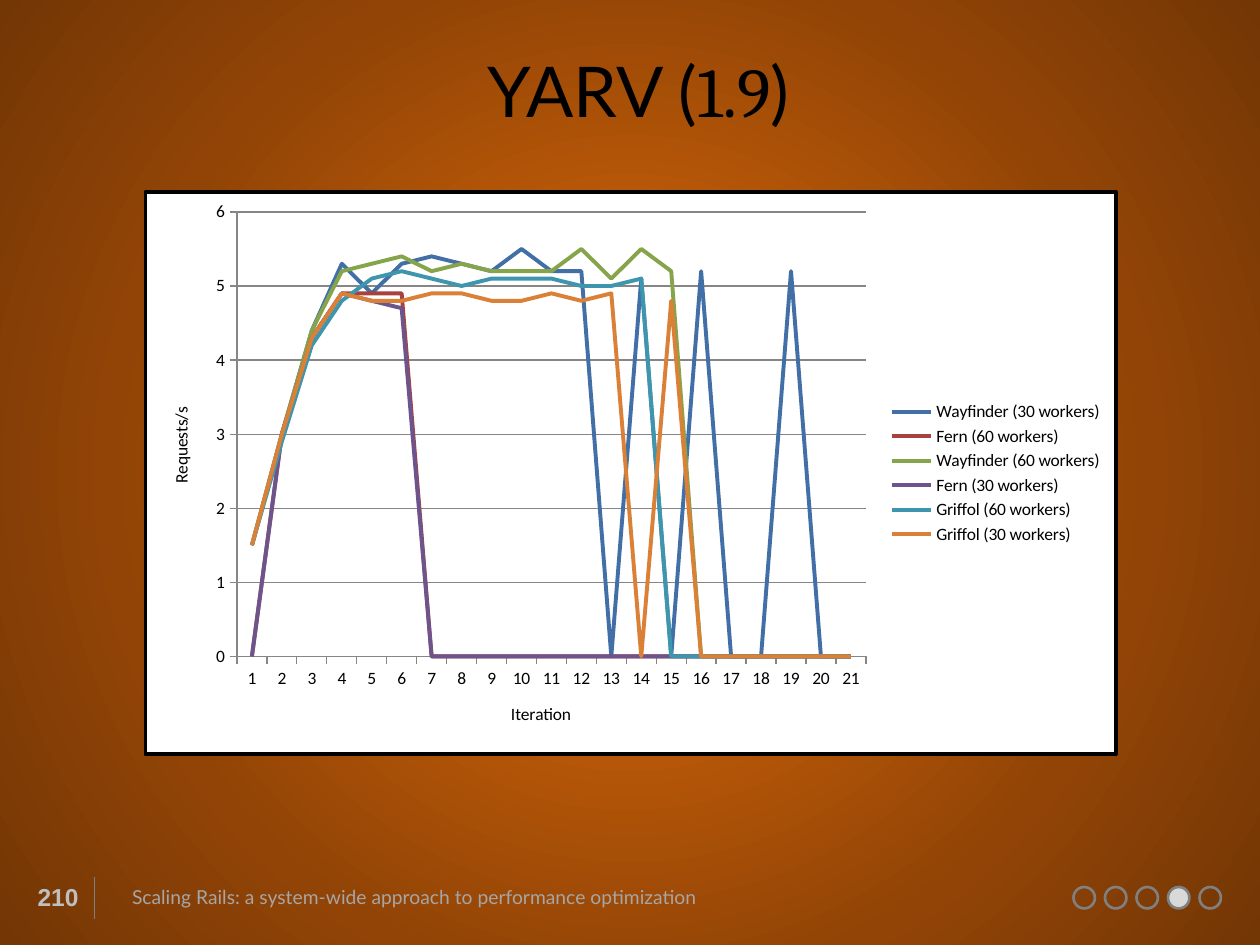
"""Build the YARV (1.9) benchmark slide with its line chart and progress footer."""
from lxml.etree import SubElement
from pptx import Presentation
from pptx.chart.data import CategoryChartData
from pptx.dml.color import RGBColor
from pptx.enum.chart import XL_CHART_TYPE, XL_LEGEND_POSITION, XL_TICK_MARK
from pptx.enum.shapes import MSO_CONNECTOR, MSO_SHAPE
from pptx.enum.text import MSO_ANCHOR, PP_ALIGN
from pptx.oxml import parse_xml
from pptx.oxml.ns import nsdecls, qn
from pptx.util import Inches, Pt

TITLE = [("YARV (", "Lato"), ("1.9", "Cambria"), (")", "Lato")]
FOOTER = "Scaling Rails: a system-wide approach to performance optimization"
PAGE = "210"
DOTS, CURRENT_DOT = 5, 3
ITERATIONS = 21
AXIS_TITLES = {"category": "Iteration", "value": "Requests/s"}
SERIES = [
    ("Wayfinder (30 workers)", "416FA6",
     [1.5, 3, 4.4, 5.3, 4.9, 5.3, 5.4, 5.3, 5.2, 5.5, 5.2, 5.2, 0, 5.1, 0, 5.2, 0, 0, 5.2]),
    ("Fern (60 workers)", "A8423F", [0, 3, 4.3, 4.9, 4.9, 4.9]),
    ("Wayfinder (60 workers)", "86A44A",
     [1.5, 3, 4.4, 5.2, 5.3, 5.4, 5.2, 5.3, 5.2, 5.2, 5.2, 5.5, 5.1, 5.5, 5.2]),
    ("Fern (30 workers)", "6E548D", [0, 3, 4.3, 4.9, 4.8, 4.7]),
    ("Griffol (60 workers)", "3D96AE",
     [1.5, 2.9, 4.2, 4.8, 5.1, 5.2, 5.1, 5, 5.1, 5.1, 5.1, 5, 5, 5.1]),
    ("Griffol (30 workers)", "DA8137",
     [1.5, 3, 4.3, 4.9, 4.8, 4.8, 4.9, 4.9, 4.8, 4.8, 4.9, 4.8, 4.9, 0, 4.8]),
]
CHART_BOX = (1.14, 1.51, 7.73, 4.49)
PLOT_BOX = (0.73, 0.16, 5.01, 3.55)
THEME = {
    "bg": [(0, "EB700B"), (33, "B95808"), (66, "914406"), (100, "733605")],
    "text": "000000", "footer": "A6A6A6", "page": "BFBFBF",
    "rule": "808080", "dot": "D9D9D9", "axis": "868686", "panel": "FFFFFF",
    "title_pt": 40, "page_pt": 14, "footer_pt": 11, "chart_pt": 10,
}


def rgb(name):
    return RGBColor.from_string(THEME.get(name, name))


def style_font(font, name, size, color, bold=False):
    font.name, font.size, font.bold = name, Pt(size), bold
    font.color.rgb = rgb(color)


def style_line(line, color, width):
    line.color.rgb = rgb(color)
    line.width = Pt(width)


def add_text(s, runs, box, size, color, bold=False, wrap=True,
             anchor=MSO_ANCHOR.MIDDLE, align=PP_ALIGN.CENTER):
    tf = s.shapes.add_textbox(*map(Inches, box)).text_frame
    tf.word_wrap, tf.vertical_anchor = wrap, anchor
    p = tf.paragraphs[0]
    p.alignment = align
    for text, font in runs:
        r = p.add_run()
        r.text = text
        style_font(r.font, font, size, color, bold)


def add_background(s):
    s.background.fill.solid()
    solid = next(s.element.iter(qn("a:solidFill")))
    stops = "".join(f'<a:gs pos="{pos * 1000}"><a:srgbClr val="{color}"/></a:gs>'
                    for pos, color in THEME["bg"])
    grad = parse_xml(
        f'<a:gradFill {nsdecls("a")} rotWithShape="1"><a:gsLst>{stops}</a:gsLst>'
        '<a:path path="circle"><a:fillToRect l="50000" t="50000" r="50000" b="50000"/>'
        '</a:path></a:gradFill>')
    solid.getparent().replace(solid, grad)


def add_footer(s):
    for i in range(DOTS):
        dot = s.shapes.add_shape(MSO_SHAPE.OVAL, Inches(8.52 + 0.25 * i), Inches(7.04),
                                 Inches(0.17), Inches(0.17))
        dot.shadow.inherit = False
        style_line(dot.line, "rule", 1.5)
        if i == CURRENT_DOT:
            dot.fill.solid()
            dot.fill.fore_color.rgb = rgb("dot")
        else:
            dot.fill.background()
    add_text(s, [(FOOTER, "Lato")], (0.79, 6.92, 5, 0.4), THEME["footer_pt"], "footer")
    add_text(s, [(PAGE, "Arial")], (0.17, 6.92, 0.58, 0.4), THEME["page_pt"], "page", bold=True)
    rule = s.shapes.add_connector(MSO_CONNECTOR.STRAIGHT, *map(Inches, (0.75, 7.29, 0.75, 6.96)))
    style_line(rule.line, "rule", 0.75)
    SubElement(rule.element.spPr, qn("a:effectLst"))


def style_axis(axis, title):
    style_line(axis.format.line, "axis", 0.75)
    axis.major_tick_mark = XL_TICK_MARK.OUTSIDE
    axis.minor_tick_mark = XL_TICK_MARK.NONE
    tf = axis.axis_title.text_frame
    tf.text = title
    style_font(tf.paragraphs[0].runs[0].font, "Calibri", THEME["chart_pt"], "text")


def panel_props(border):
    return parse_xml(
        f'<c:spPr {nsdecls("c", "a")}><a:solidFill><a:srgbClr val="{THEME["panel"]}"/>'
        f'</a:solidFill>{border}</c:spPr>')


def frame_chart(chart):
    space = chart.element
    border = (f'<a:ln w="{Pt(2)}"><a:solidFill><a:srgbClr val="{THEME["text"]}"/>'
              '</a:solidFill></a:ln>')
    space.find(qn("c:chart")).addnext(panel_props(border))
    if space.find(qn("c:roundedCorners")) is None:
        square = parse_xml(f'<c:roundedCorners {nsdecls("c")} val="0"/>')
        space.find(qn("c:date1904")).addnext(square)
    plot = next(space.iter(qn("c:plotArea")))
    plot.append(panel_props("<a:ln><a:noFill/></a:ln>"))
    old = plot.find(qn("c:layout"))
    if old is not None:
        plot.remove(old)
    modes = '<c:layoutTarget val="inner"/><c:xMode val="edge"/><c:yMode val="edge"/>'
    sizes = "".join(f'<c:{key} val="{part / whole:.4f}"/>'
                    for key, part, whole in zip("xywh", PLOT_BOX, CHART_BOX[2:] * 2))
    plot.insert(0, parse_xml(f'<c:layout {nsdecls("c")}><c:manualLayout>{modes}{sizes}'
                             '</c:manualLayout></c:layout>'))


def add_benchmark_chart(s):
    data = CategoryChartData()
    data.categories = [str(i + 1) for i in range(ITERATIONS)]
    for name, _, vals in SERIES:
        data.add_series(name, vals + [0] * (ITERATIONS - len(vals)))
    chart = s.shapes.add_chart(XL_CHART_TYPE.LINE, *map(Inches, CHART_BOX), data).chart
    style_font(chart.font, "Calibri", THEME["chart_pt"], "text")
    chart.has_title = False
    chart.has_legend = True
    chart.legend.position = XL_LEGEND_POSITION.RIGHT
    chart.legend.include_in_layout = False
    chart.plots[0].vary_by_categories = False
    for series, (_, color, _) in zip(chart.plots[0].series, SERIES):
        series.smooth = False
        style_line(series.format.line, color, 2.25)
    style_axis(chart.category_axis, AXIS_TITLES["category"])
    axis = chart.value_axis
    style_axis(axis, AXIS_TITLES["value"])
    axis.minimum_scale, axis.maximum_scale, axis.major_unit = 0, 6, 1
    style_line(axis.major_gridlines.format.line, "axis", 0.75)
    frame_chart(chart)


def main():
    prs = Presentation()
    prs.slide_width, prs.slide_height = Inches(10), Inches(7.5)
    s = prs.slides.add_slide(prs.slide_layouts[6])
    add_background(s)
    add_footer(s)
    add_text(s, TITLE, (3.77, 0.33, 2.85, 0.77), THEME["title_pt"], "text",
             wrap=False, anchor=MSO_ANCHOR.TOP, align=PP_ALIGN.LEFT)
    add_benchmark_chart(s)
    prs.save("out.pptx")


if __name__ == "__main__":
    main()
